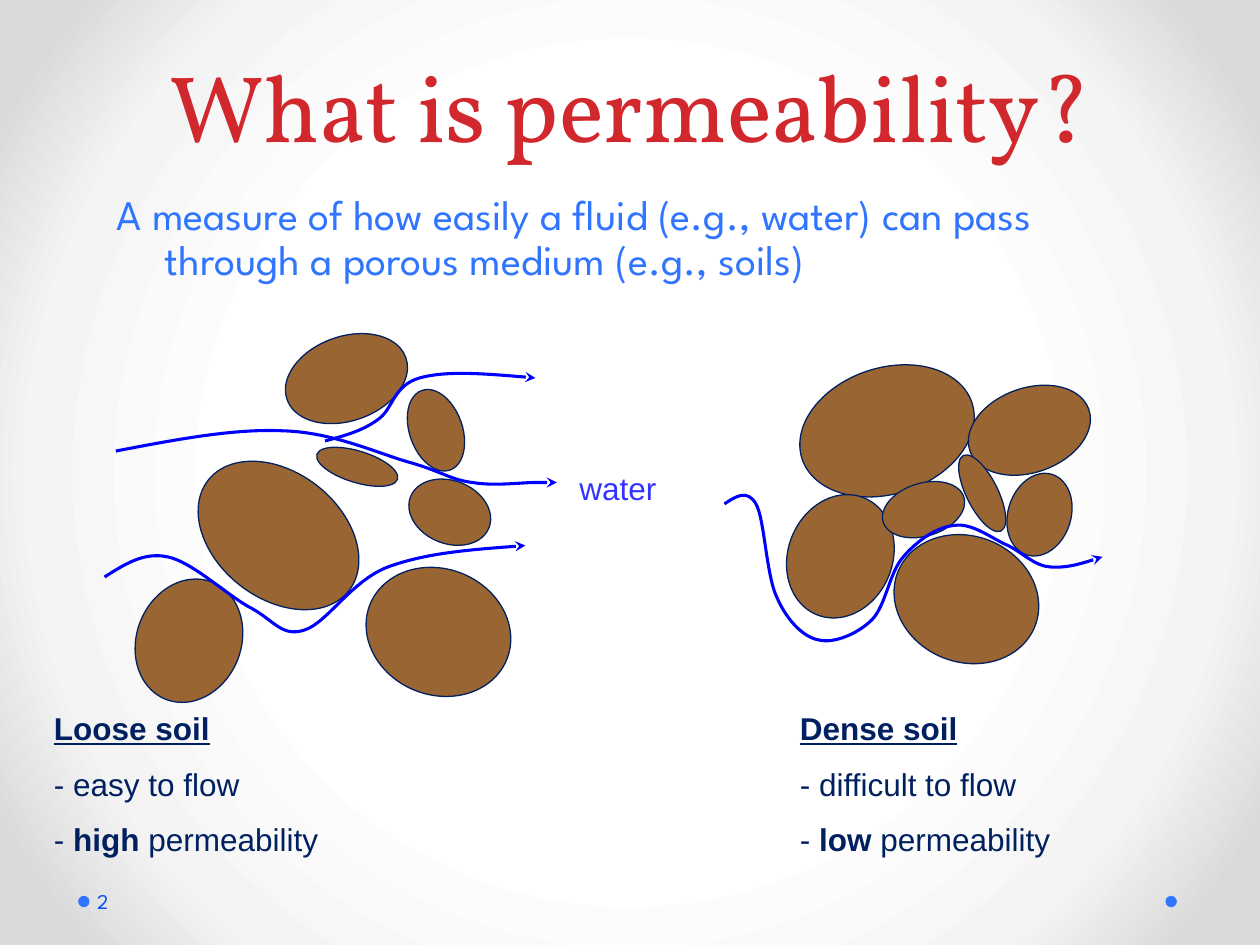
from typing import NamedTuple

from lxml.etree import SubElement
from pptx import Presentation
from pptx.dml.color import RGBColor
from pptx.enum.shapes import MSO_SHAPE
from pptx.enum.text import MSO_ANCHOR, PP_ALIGN
from pptx.oxml import parse_xml
from pptx.oxml.ns import nsdecls, qn
from pptx.util import Inches, Pt

NAVY, BROWN, RED = "002060", "996633", "D1282E"
BLUE, FLOW_BLUE, WATER_BLUE, NUMBER_BLUE = "3075FF", "0000FF", "3333FF", "0050F1"
BODY_FONT = "League Spartan"


class Grain(NamedTuple):
    left: float
    top: float
    width: float
    height: float
    rotation: float


class Soil(NamedTuple):
    name: str
    flow: str
    level: str
    left: float
    width: float
    grains: list[Grain]


SOILS = [
    Soil("Loose soil", "easy", "high", 0.33, 4, [
        Grain(2.25, 2.67, 1, 0.67, 340.5),
        Grain(1.5, 3.75, 1.42, 1, 38.2),
        Grain(3.32, 3.73, 0.5, 0.67, 291.6),
        Grain(2.5, 3.58, 0.67, 0.25, 17.1),
        Grain(2.98, 4.43, 1, 1.17, 291.6),
        Grain(1, 4.67, 1, 0.83, 291.6),
        Grain(3.25, 3.08, 0.42, 0.67, 340.5),
    ]),
    Soil("Dense soil", "difficult", "low", 6.25, 2.92, [
        Grain(6.33, 2.92, 1.42, 1, 341.7),
        Grain(7.17, 4.17, 1, 1.17, 291.6),
        Grain(6.17, 4, 1, 0.83, 291.6),
        Grain(7.67, 3.08, 1, 0.67, 340.5),
        Grain(7.12, 3.71, 0.42, 0.67, 252.9),
        Grain(7.46, 3.79, 0.67, 0.25, 63.5),
        Grain(8, 3.75, 0.5, 0.67, 17.4),
    ]),
]

# Each flow line: a start point, then two control points and an end point per curve
FLOW_LINES = [
    [(0.83, 4.58), (0.99, 4.48), (1.14, 4.38), (1.33, 4.42),
     (1.53, 4.46), (1.82, 4.74), (2, 4.83), (2.18, 4.93), (2.24, 5.06), (2.42, 5),
     (2.6, 4.94), (2.79, 4.61), (3.08, 4.5), (3.38, 4.39), (3.77, 4.36), (4.17, 4.33)],
    [(0.92, 3.58), (1.39, 3.49), (1.86, 3.4), (2.25, 3.42),
     (2.64, 3.43), (3, 3.6), (3.25, 3.67), (3.5, 3.74), (3.58, 3.81), (3.75, 3.83),
     (3.92, 3.86), (4.14, 3.83), (4.25, 3.83), (4.36, 3.83), (4.39, 3.83), (4.42, 3.83)],
    [(5.75, 4), (5.84, 3.94), (5.93, 3.88), (6, 4),
     (6.07, 4.12), (6.08, 4.57), (6.17, 4.75), (6.25, 4.93), (6.38, 5.06), (6.5, 5.08),
     (6.62, 5.11), (6.81, 5.03), (6.92, 4.92), (7.03, 4.81), (7.06, 4.54), (7.17, 4.42),
     (7.28, 4.29), (7.44, 4.18), (7.58, 4.17), (7.72, 4.15), (7.88, 4.28), (8, 4.33),
     (8.12, 4.39), (8.21, 4.49), (8.33, 4.5), (8.46, 4.51), (8.6, 4.47), (8.75, 4.42)],
    [(2.58, 3.5), (2.73, 3.46), (2.88, 3.42), (3, 3.33),
     (3.12, 3.25), (3.12, 3.06), (3.33, 3), (3.54, 2.94), (3.9, 2.97), (4.25, 3)],
]


def rgb(color: str) -> RGBColor:
    return RGBColor.from_string(color)


def set_background(slide) -> None:
    """Fill the slide with a circular gradient, white in the middle."""
    slide.background.fill.solid()
    solid = slide.element.xpath(".//p:bgPr/a:solidFill")[0]
    stops = "".join(
        f'<a:gs pos="{pos}000"><a:srgbClr val="{color}"/></a:gs>'
        for pos, color in [(50, "FFFFFF"), (76, "F4F4F4"), (92, "DADADA")])
    solid.getparent().replace(solid, parse_xml(
        f'<a:gradFill {nsdecls("a")} rotWithShape="1"><a:gsLst>{stops}</a:gsLst>'
        '<a:path path="circle"><a:fillToRect l="50000" t="50000" r="50000" b="50000"/>'
        '</a:path></a:gradFill>'))


def format_run(r, size: float, font: str, color: str) -> None:
    r.font.size, r.font.name = Pt(size), font
    r.font.color.rgb = rgb(color)


def add_text(slide, text: str, box: tuple, size: float, font: str, color: str):
    """Add a wrapped text box with one paragraph per line; return its frame."""
    tf = slide.shapes.add_textbox(*map(Inches, box)).text_frame
    tf.word_wrap = True
    tf.text = text
    for p in tf.paragraphs:
        for r in p.runs:
            format_run(r, size, font, color)
    return tf


def add_ellipse(shapes, box: tuple, fill: str):
    sp = shapes.add_shape(MSO_SHAPE.OVAL, *map(Inches, box))
    sp.shadow.inherit = False
    sp.fill.solid()
    sp.fill.fore_color.rgb = rgb(fill)
    sp.line.fill.background()
    return sp


def add_grains(slide, grains: list[Grain]) -> None:
    group = slide.shapes.add_group_shape()
    for *box, rotation in grains:
        sp = add_ellipse(group.shapes, box, BROWN)
        sp.rotation = rotation
        sp.line.color.rgb = rgb(NAVY)
        sp.line.width = Pt(0.75)


def add_soil_label(slide, soil: Soil) -> None:
    tf = add_text(slide, f"{soil.name}\n- {soil.flow} to flow\n- ",
                  (soil.left, 5.58, soil.width, 1.7), 18, "Arial", NAVY)
    heading, _, last = tf.paragraphs
    heading.runs[0].font.bold = heading.runs[0].font.underline = True
    for text, bold in [(soil.level, True), (" permeability", False)]:
        r = last.add_run()
        r.text = text
        format_run(r, 18, "Arial", NAVY)
        r.font.bold = bold
    for p in tf.paragraphs[1:]:
        p.space_before = Pt(10)


def add_flow_line(slide, points: list[tuple]) -> None:
    """Draw Bezier curves through the points, with an arrowhead at the end."""
    start, *rest = [(Inches(x), Inches(y)) for x, y in points]
    builder = slide.shapes.build_freeform(*start)
    builder.add_line_segments(rest, close=False)
    sp = builder.convert_to_shape()
    sp.shadow.inherit = False
    sp.fill.background()
    sp.line.color.rgb = rgb(FLOW_BLUE)
    sp.line.width = Pt(1.75)
    SubElement(sp.line._get_or_add_ln(), qn("a:tailEnd"), type="stealth")

    outline = sp.element.xpath(".//a:path")[0]
    segments = outline.findall(qn("a:lnTo"))
    for i in range(0, len(segments), 3):
        curve = SubElement(outline, qn("a:cubicBezTo"))
        for segment in segments[i:i + 3]:
            curve.append(segment[0])
            outline.remove(segment)


def add_title(slide, text: str) -> None:
    title = slide.shapes.title
    title.left, title.top, title.width, title.height = map(Inches, (0.75, 0.33, 8.5, 1))
    tf = title.text_frame
    tf.text = text
    tf.vertical_anchor = MSO_ANCHOR.BOTTOM
    p = tf.paragraphs[0]
    p.alignment, p.line_spacing = PP_ALIGN.CENTER, Pt(58)
    format_run(p.runs[0], 54, "Vollkorn", RED)


def main() -> None:
    prs = Presentation()
    prs.slide_width, prs.slide_height = Inches(10), Inches(7.5)
    slide = prs.slides.add_slide(prs.slide_layouts[5])
    set_background(slide)

    for left in (9.25, 0.62):
        add_ellipse(slide.shapes, (left, 7.11, 0.09, 0.09), BLUE)
    number = add_text(slide, "2", (0.72, 6.95, 3.11, 0.4), 12, BODY_FONT, NUMBER_BLUE)
    number.vertical_anchor = MSO_ANCHOR.MIDDLE
    number.margin_left = Inches(0.05)

    add_title(slide, "What is permeability?")
    definition = add_text(
        slide, "A measure of how easily a fluid (e.g., water) can pass through "
        "a porous medium (e.g., soils)", (0.83, 1.49, 8.5, 1), 24, BODY_FONT, BLUE)
    p = definition.paragraphs[0]
    p.line_spacing = 0.9
    pPr = p._p.get_or_add_pPr()
    pPr.set("marL", str(Inches(0.38)))
    pPr.set("indent", str(-Inches(0.38)))

    for soil in SOILS:
        add_grains(slide, soil.grains)
    for soil in SOILS:
        add_soil_label(slide, soil)
    for points in FLOW_LINES:
        add_flow_line(slide, points)
    add_text(slide, "water", (4.5, 3.67, 1.25, 0.5), 18, "Arial", WATER_BLUE)
    prs.save("out.pptx")


if __name__ == "__main__":
    main()
